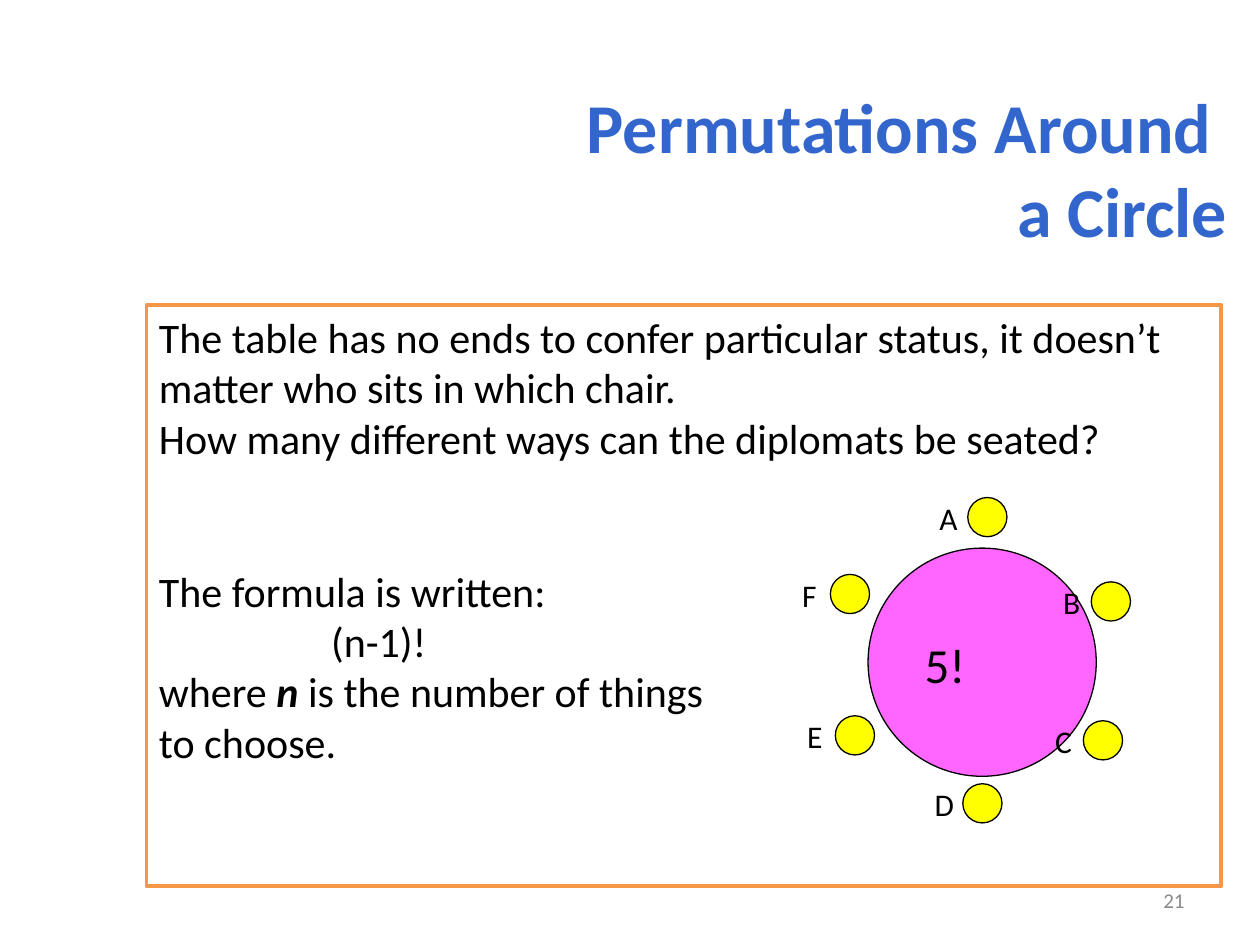
from dataclasses import dataclass
from pptx import Presentation
from pptx.dml.color import RGBColor
from pptx.enum.shapes import MSO_SHAPE as Preset
from pptx.enum.text import MSO_ANCHOR as Anchor, MSO_AUTO_SIZE as AutoSize, PP_ALIGN as Align
from pptx.oxml.xmlchemy import OxmlElement
from pptx.util import Cm, Pt


@dataclass(frozen=True)
class Theme:
    font: str = "Calibri"
    title: str = "3366CC"
    ink: str = "000000"
    muted: str = "898989"
    paper: str = "FFFFFF"
    frame: str = "F79646"
    seat: str = "FFFF00"
    table: str = "FF66FF"
    title_size: int = 40
    body_size: int = 24
    label_size: int = 18
    answer_size: int = 28
    number_size: int = 12


class SlideBuilder:
    """Draw styled elements on the current slide."""

    def __init__(self, page, theme):
        self.page = page
        self.theme = theme

    def place(self, box, left, top, width, height):
        box.left, box.top, box.width, box.height = map(Cm, (left, top, width, height))

    def paint(self, shape, fill, line, weight):
        shape.fill.solid()
        shape.fill.fore_color.rgb = RGBColor.from_string(fill)
        shape.line.color.rgb = RGBColor.from_string(line)
        shape.line.width = Pt(weight)

    def add_span(self, para, text, size, color, bold=False, italic=False):
        span = para.add_run()
        span.text = text
        span.font.name = self.theme.font
        span.font.size = Pt(size)
        span.font.color.rgb = RGBColor.from_string(color)
        span.font.bold, span.font.italic = bold, italic

    def paragraphs(self, frame, count):
        return [frame.paragraphs[0]] + [frame.add_paragraph() for _ in range(count - 1)]

    def title(self, lines, *area):
        box = self.page.shapes.title
        self.place(box, *area)
        frame = box.text_frame
        frame.auto_size, frame.vertical_anchor = AutoSize.NONE, Anchor.MIDDLE
        for para, line in zip(self.paragraphs(frame, len(lines)), lines):
            para.alignment = Align.RIGHT
            self.add_span(para, line, self.theme.title_size, self.theme.title, bold=True)

    def body(self, rows, *area):
        box = self.page.placeholders[1]
        self.place(box, *area)
        self.paint(box, self.theme.paper, self.theme.frame, 2)
        frame = box.text_frame
        frame.auto_size, frame.vertical_anchor = AutoSize.NONE, Anchor.TOP
        for para, (spans, before, indent) in zip(self.paragraphs(frame, len(rows)), rows):
            para.space_before = Pt(before)
            properties = para._p.get_or_add_pPr()
            properties.set("marL", str(Cm(indent)))
            properties.set("indent", "0")
            properties.append(OxmlElement("a:buNone"))
            for text, strong in spans:
                self.add_span(para, text, self.theme.body_size, self.theme.ink, strong, strong)

    def circle(self, left, top, size, fill):
        shape = self.page.shapes.add_shape(Preset.OVAL, Cm(left), Cm(top), Cm(size), Cm(size))
        shape.shadow.inherit = False
        self.paint(shape, fill, self.theme.ink, 0.75)

    def label(self, text, left, top, width, height, size, color, align=Align.LEFT, anchor=Anchor.TOP):
        box = self.page.shapes.add_textbox(Cm(left), Cm(top), Cm(width), Cm(height))
        frame = box.text_frame
        frame.word_wrap, frame.vertical_anchor = True, anchor
        para = frame.paragraphs[0]
        para.alignment = align
        self.add_span(para, text, size, color)


theme = Theme()
deck = Presentation()
deck.slide_width, deck.slide_height = Cm(25.4), Cm(19.05)
builder = SlideBuilder(deck.slides.add_slide(deck.slide_layouts[1]), theme)

builder.title(["Permutations Around ", "a Circle"], 2.13, 1.78, 22.86, 3.18)

two_lines = 2 * 1.22 * theme.body_size
builder.body([
    ([("The table has no ends to confer particular status, it doesn’t "
       "matter who sits in which chair. ", False)], 0, 0),
    ([("How many different ways can the diplomats be seated?", False)], 0, 0),
    ([("The formula is written: ", False)], two_lines, 0),
    ([("(n-1)!", False)], 0, 3.47),
    ([("where ", False), ("n", True), (" is the number of things ", False)], 0, 0),
    ([("to choose.", False)], 0, 0),
], 2.95, 6.15, 21.67, 11.71)

builder.label("21", 18.2, 17.65, 5.93, 1.01, theme.number_size, theme.muted, Align.RIGHT, Anchor.MIDDLE)

seats = {
    "A": (19.51, 10.03), "B": (22, 11.73), "C": (21.84, 14.53),
    "D": (19.41, 15.8), "E": (16.84, 14.43), "F": (16.74, 11.58),
}
for left, top in seats.values():
    builder.circle(left, top, 0.79, theme.seat)
builder.circle(17.5, 11.05, 4.6, theme.table)
for name, (left, top) in seats.items():
    builder.label(name, left - 0.82, top - 0.1, 2.44, 1.02, theme.label_size, theme.ink)
builder.label("5!", 18.39, 12.67, 2.92, 1.45, theme.answer_size, theme.ink)

deck.save("out.pptx")
